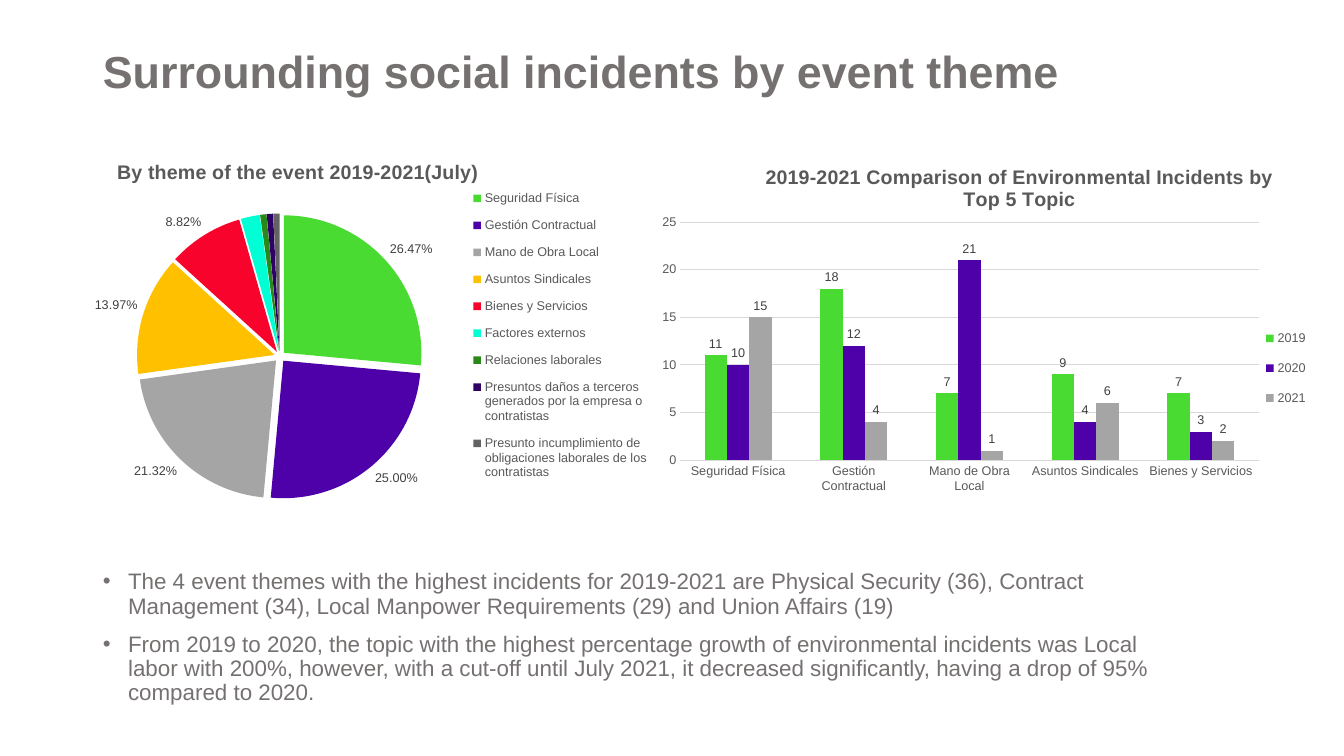
import pptx
import pptx.chart.data
import pptx.dml.color
import pptx.enum.chart
import pptx.enum.text
import pptx.oxml
import pptx.oxml.ns
import pptx.util
from pptx.util import Inches

COLORS = {
    "heading": "767171", "caption": "595959", "label": "404040", "grid": "D9D9D9",
    "green": "49DB31", "violet": "4E01A8", "gray": "A5A5A5", "amber": "FFC000",
    "red": "F7032C", "aqua": "01FFD5", "forest": "288918", "indigo": "2F0165",
    "slate": "636363", "white": "FFFFFF",
}
THEMES = [
    ("Seguridad Física", 0.2647, "green"),
    ("Gestión Contractual", 0.25, "violet"),
    ("Mano de Obra Local", 0.2132, "gray"),
    ("Asuntos Sindicales", 0.1397, "amber"),
    ("Bienes y Servicios", 0.0882, "red"),
    ("Factores externos", 0.0221, "aqua"),
    ("Relaciones laborales", 0.0074, "forest"),
    ("Presuntos daños a terceros generados por la empresa o contratistas", 0.0074, "indigo"),
    ("Presunto incumplimiento de obligaciones laborales de los contratistas", 0.0074, "slate"),
]
LABELLED_THEMES = 5
YEARS = [
    ("2019", (11, 18, 7, 9, 7), "green"),
    ("2020", (10, 12, 21, 4, 3), "violet"),
    ("2021", (15, 4, 1, 6, 2), "gray"),
]
FINDINGS = [
    "The 4 event themes with the highest incidents for 2019-2021 are Physical Security (36), "
    "Contract Management (34), Local Manpower Requirements (29) and Union Affairs (19)",
    "From 2019 to 2020, the topic with the highest percentage growth of environmental incidents "
    "was Local labor with 200%, however, with a cut-off until July 2021, it decreased "
    "significantly, having a drop of 95% compared to 2020.",
]


def rgb(name):
    return pptx.dml.color.RGBColor.from_string(COLORS[name])


def set_all(target, **values):
    for name, value in values.items():
        setattr(target, name, value)


def format_font(font, size, color, bold=False):
    set_all(font, name="Arial", size=pptx.util.Pt(size), bold=bold)
    font.color.rgb = rgb(color)


def fill_solid(fill, color):
    fill.solid()
    fill.fore_color.rgb = rgb(color)


def chart_xml(tag, content="", attributes=""):
    namespace = pptx.oxml.ns.nsdecls("c")
    return pptx.oxml.parse_xml(f"<c:{tag} {namespace} {attributes}>{content}</c:{tag}>")


def place_part(chart, part, **fractions):
    """Position a chart part by fractions of the chart's width and height."""
    element = chart.element.xpath(f"c:chart/c:{part}")[0]
    for old_layout in element.xpath("c:layout"):
        element.remove(old_layout)
    target = '<c:layoutTarget val="inner"/>' if part == "plotArea" else ""
    modes = '<c:xMode val="edge"/><c:yMode val="edge"/>'
    sizes = "".join(f'<c:{key} val="{value}"/>' for key, value in fractions.items())
    layout = chart_xml("layout", f"<c:manualLayout>{target}{modes}{sizes}</c:manualLayout>")
    overlay = element.xpath("c:overlay")
    if overlay:
        overlay[0].addprevious(layout)
    else:
        element.insert(0, layout)


def add_chart(slide, kind, box, title, categories, series):
    data = pptx.chart.data.CategoryChartData()
    data.categories = categories
    for name, values in series:
        data.add_series(name, values)
    chart = slide.shapes.add_chart(kind, *map(Inches, box), data).chart
    set_all(chart.font, name="Arial", size=pptx.util.Pt(10))
    chart.has_title = True
    chart.chart_title.include_in_layout = False
    paragraph = chart.chart_title.text_frame.paragraphs[0]
    run = paragraph.add_run()
    run.text = title
    format_font(run.font, 14, "caption", True)
    chart.has_legend = True
    set_all(chart.legend, position=pptx.enum.chart.XL_LEGEND_POSITION.RIGHT,
            include_in_layout=False)
    format_font(chart.legend.font, 9, "caption")
    return chart


def show_labels(series, number_format):
    labels = series.data_labels
    set_all(labels, show_value=True, number_format=number_format,
            number_format_is_linked=False,
            position=pptx.enum.chart.XL_LABEL_POSITION.OUTSIDE_END)
    format_font(labels.font, 9, "label")
    return labels


def add_theme_pie(slide):
    names, shares, colors = zip(*THEMES)
    chart = add_chart(slide, pptx.enum.chart.XL_CHART_TYPE.PIE, (0.72, 1.4, 5.79, 3.75),
                      "By theme of the event 2019-2021(July)", names, [("Series 1", shares)])
    chart.plots[0].vary_by_categories = True
    series = chart.plots[0].series[0]
    for index, color in enumerate(colors):
        point_format = series.points[index].format
        fill_solid(point_format.fill, color)
        point_format.line.fill.background()
    chart.element.xpath(".//c:ser/c:tx")[0].addnext(chart_xml("explosion", attributes='val="4"'))
    show_labels(series, "0.00%")
    labels_element = chart.element.xpath(".//c:ser/c:dLbls")[0]
    for position, index in enumerate(range(LABELLED_THEMES, len(THEMES))):
        labels_element.insert(position, chart_xml(
            "dLbl", f'<c:idx val="{index}"/><c:delete val="1"/>'))
    place_part(chart, "title", x=0.07, y=0.04)
    place_part(chart, "plotArea", x=0.11, y=0.19, w=0.49, h=0.76)
    place_part(chart, "legend", x=0.68, y=0.1, w=0.31, h=0.83)


def add_year_columns(slide):
    categories = [theme[0] for theme in THEMES[:LABELLED_THEMES]]
    chart = add_chart(slide, pptx.enum.chart.XL_CHART_TYPE.COLUMN_CLUSTERED,
                      (6.41, 1.38, 6.75, 3.58),
                      "2019-2021 Comparison of Environmental Incidents by Top 5 Topic",
                      categories, [year[:2] for year in YEARS])
    set_all(chart.plots[0], gap_width=219, overlap=0, vary_by_categories=False)
    for series, (_, _, color) in zip(chart.plots[0].series, YEARS):
        fill_solid(series.format.fill, color)
        show_labels(series, "General")
    for axis in (chart.category_axis, chart.value_axis):
        set_all(axis, major_tick_mark=pptx.enum.chart.XL_TICK_MARK.NONE,
                minor_tick_mark=pptx.enum.chart.XL_TICK_MARK.NONE)
        format_font(axis.tick_labels.font, 9, "caption")
    set_all(chart.value_axis, minimum_scale=0, maximum_scale=25, major_unit=5,
            has_major_gridlines=True)
    chart.value_axis.format.line.fill.background()
    for line in (chart.category_axis.format.line, chart.value_axis.major_gridlines.format.line):
        line.color.rgb = rgb("grid")
        line.width = pptx.util.Pt(0.75)
    place_part(chart, "title", x=0.17, y=0.06)
    place_part(chart, "plotArea", x=0.05, y=0.23, w=0.85, h=0.66)
    place_part(chart, "legend", x=0.9, y=0.49, w=0.08, h=0.29)


def fill_placeholder(placeholder, box, texts, size, bold, anchor):
    set_all(placeholder, **dict(zip(("left", "top", "width", "height"), map(Inches, box))))
    frame = placeholder.text_frame
    frame.text = "\n".join(texts)
    set_all(frame, word_wrap=True, vertical_anchor=anchor,
            auto_size=pptx.enum.text.MSO_AUTO_SIZE.NONE)
    for paragraph in frame.paragraphs:
        set_all(paragraph, alignment=pptx.enum.text.PP_ALIGN.LEFT, line_spacing=0.9,
                space_before=pptx.util.Pt(0))
        for run in paragraph.runs:
            format_font(run.font, size, "heading", bold)
    return frame.paragraphs


def add_bullets(paragraphs):
    for index, paragraph in enumerate(paragraphs):
        properties = paragraph._p.get_or_add_pPr()
        properties.set("marL", str(Inches(0.25)))
        properties.set("indent", str(Inches(-0.25)))
        namespace = pptx.oxml.ns.nsdecls("a")
        properties.append(pptx.oxml.parse_xml(f'<a:buChar {namespace} char="•"/>'))
        paragraph.space_before = pptx.util.Pt(10 if index else 0)


def main():
    presentation = pptx.Presentation()
    set_all(presentation, slide_width=Inches(13.33), slide_height=Inches(7.5))
    slide = presentation.slides.add_slide(presentation.slide_layouts[1])
    fill_solid(slide.background.fill, "white")
    anchors = pptx.enum.text.MSO_ANCHOR
    fill_placeholder(slide.shapes.title, (0.92, 0.33, 11.5, 0.8),
                     ["Surrounding social incidents by event theme"], 32, True, anchors.MIDDLE)
    add_bullets(fill_placeholder(slide.placeholders[1], (0.92, 5.61, 10.97, 1.43),
                                 FINDINGS, 16, False, anchors.TOP))
    add_theme_pie(slide)
    add_year_columns(slide)
    presentation.save("out.pptx")


if __name__ == "__main__":
    main()
